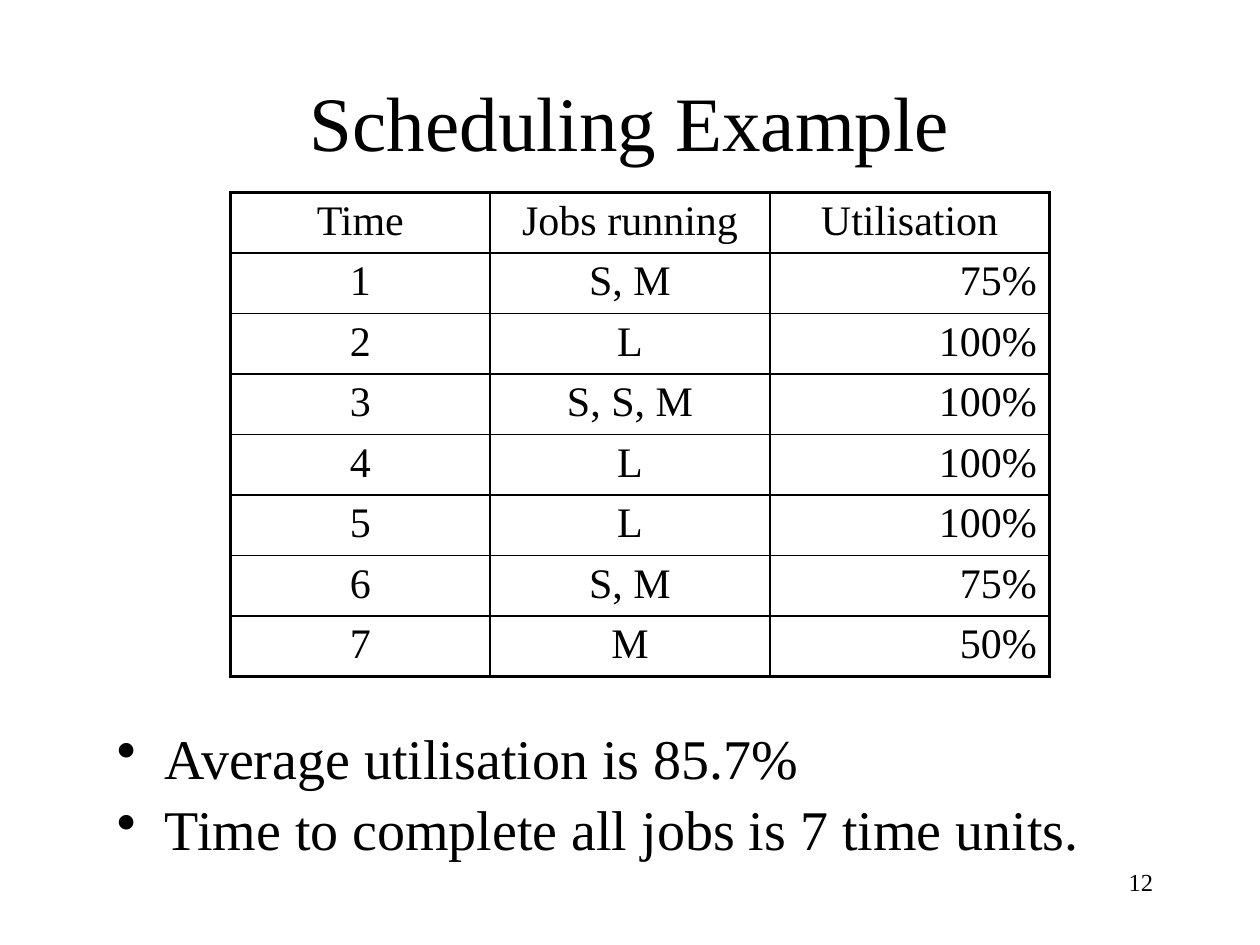
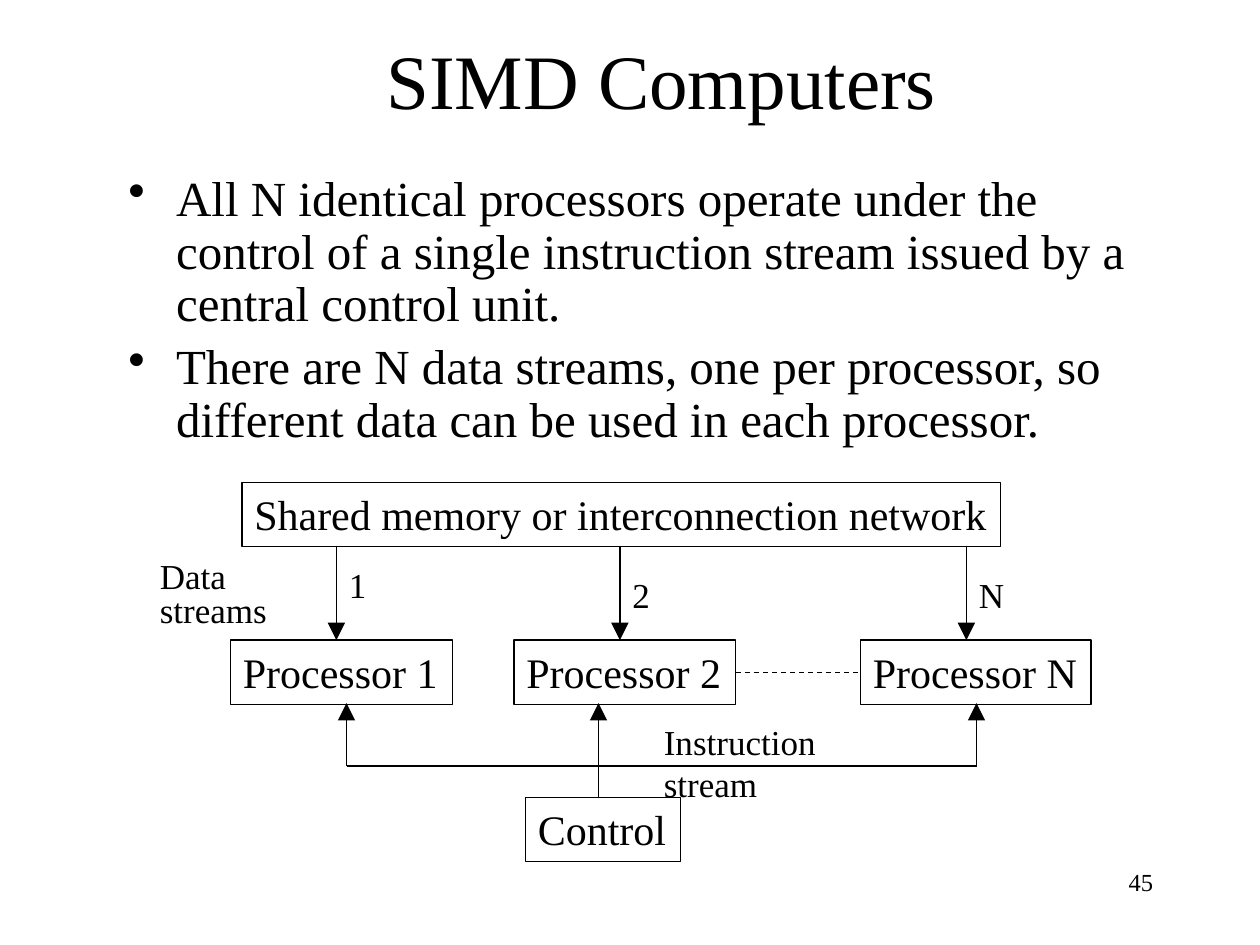
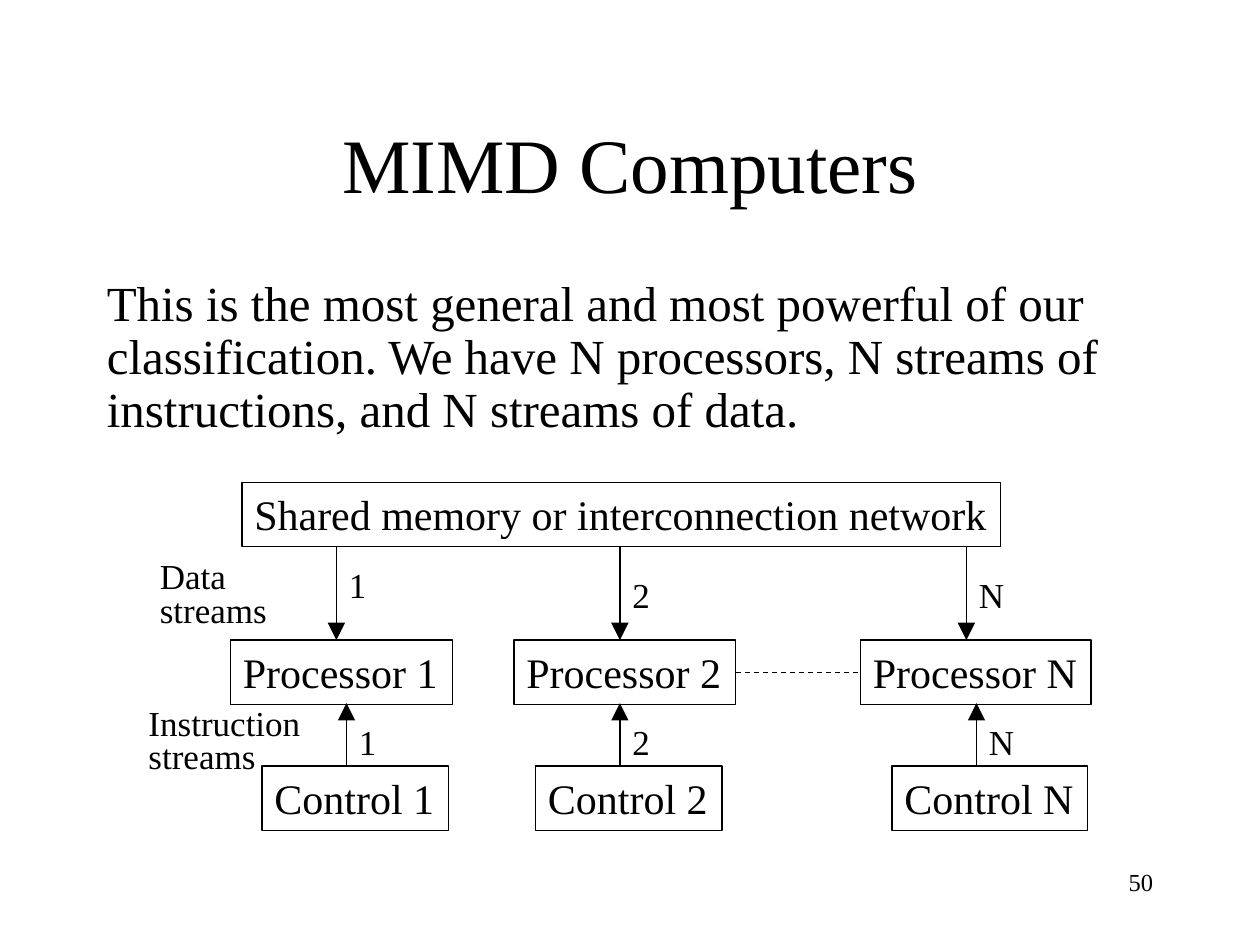
from lxml.etree import SubElement
from pptx import Presentation
from pptx.dml.color import RGBColor
from pptx.enum.dml import MSO_LINE
from pptx.enum.shapes import MSO_CONNECTOR, MSO_SHAPE
from pptx.enum.text import MSO_ANCHOR, PP_ALIGN
from pptx.oxml.ns import qn
from pptx.util import Inches, Pt

FONT = "Times New Roman"
COLORS = {"ink": "000000", "paper": "FFFFFF"}
INK = RGBColor.from_string(COLORS["ink"])

# Content
SCHEDULE = [
    ("Time", "Jobs running", "Utilisation"),
    ("1", "S, M", "75%"),
    ("2", "L", "100%"),
    ("3", "S, S, M", "100%"),
    ("4", "L", "100%"),
    ("5", "L", "100%"),
    ("6", "S, M", "75%"),
    ("7", "M", "50%"),
]
SCHEDULE_WIDTHS = (2.06, 2.22, 2.22)
SCHEDULE_ROW = 0.47

SCHEDULE_POINTS = [
    "Average utilisation is 85.7%",
    "Time to complete all jobs is 7 time units.",
]
SIMD_POINTS = [
    "All N identical processors operate under the control of a single "
    "instruction stream issued by a central control unit.",
    "There are N data streams, one per processor, so different data can be "
    "used in each processor.",
]
MIMD_TEXT = [
    "This is the most general and most powerful of our classification. "
    "We have N processors, N streams of instructions, and N streams of data.",
]

# Diagram columns: name, processor left and width, data arrow x, label top and width
PROCESSORS = [
    ("1", 1.83, 1.76, 2.67, 4.42, 0.34),
    ("2", 4.08, 1.76, 4.92, 4.5, 0.34),
    ("N", 6.83, 1.83, 7.67, 4.5, 0.4),
]
# Control units: name, left, width, arrow x, label width
CONTROLS = [
    ("1", 2.08, 1.48, 2.75, 0.34),
    ("2", 4.25, 1.48, 4.92, 0.34),
    ("N", 7.08, 1.55, 7.75, 0.4),
]
INSTRUCTION_ARROWS = (2.75, 4.75, 7.75)
BOX_HEIGHT = 0.51
MEMORY_TOP, MEMORY_BOTTOM = 3.83, 4.33
PROCESSOR_TOP, PROCESSOR_BOTTOM = 5.08, 5.58
BUS_Y = 6.08


def style(frame, size, align=PP_ALIGN.LEFT, spacing=None):
    for para in frame.paragraphs:
        para.alignment = align
        if spacing:
            para.line_spacing = spacing
        for span in para.runs:
            span.font.name = FONT
            span.font.size = Pt(size)
            span.font.bold = False
            span.font.color.rgb = INK


def add_text(page, text, left, top, width, height, size, wrap=False, **options):
    box = page.shapes.add_textbox(*map(Inches, (left, top, width, height)))
    box.text_frame.text = text
    box.text_frame.word_wrap = wrap
    style(box.text_frame, size, **options)
    return box


def add_page(deck, title, left, top, number):
    page = deck.slides.add_slide(deck.slide_layouts[5])
    page.background.fill.solid()
    page.background.fill.fore_color.rgb = RGBColor.from_string(COLORS["paper"])
    heading = page.shapes.title
    heading.left, heading.top = Inches(left), Inches(top)
    heading.width, heading.height = Inches(8.5), Inches(1.25)
    heading.text_frame.text = title
    heading.text_frame.vertical_anchor = MSO_ANCHOR.MIDDLE
    style(heading.text_frame, 44, PP_ALIGN.CENTER)
    add_text(page, number, 7.17, 6.83, 2.08, 0.5, 14, True, align=PP_ALIGN.RIGHT)
    return page


def add_body(page, lines, left, top, height, size, bullets=True):
    box = add_text(page, "\n".join(lines), left, top, 8.5, height, size, True, spacing=0.9)
    for index, para in enumerate(box.text_frame.paragraphs):
        if index:
            para.space_before = Pt(size * 0.2)
        if bullets:
            properties = para._p.get_or_add_pPr()
            properties.set("marL", str(Inches(0.38)))
            properties.set("indent", str(Inches(-0.38)))
            SubElement(properties, qn("a:buChar")).set("char", "•")


def add_box(page, text, left, top, width):
    box = page.shapes.add_shape(
        MSO_SHAPE.RECTANGLE, *map(Inches, (left, top, width, BOX_HEIGHT)))
    box.shadow.inherit = False
    box.fill.background()
    box.line.color.rgb = INK
    box.line.width = Pt(0.75)
    frame = box.text_frame
    frame.text = text
    frame.word_wrap = False
    frame.vertical_anchor = MSO_ANCHOR.TOP
    style(frame, 24)
    return box


def add_line(page, x1, y1, x2, y2, arrow=False):
    line = page.shapes.add_connector(
        MSO_CONNECTOR.STRAIGHT, *map(Inches, (x1, y1, x2, y2)))
    line.line.color.rgb = INK
    line.line.width = Pt(0.75)
    if arrow:
        tail = SubElement(line.line._get_or_add_ln(), qn("a:tailEnd"))
        for key, value in (("type", "triangle"), ("w", "lg"), ("len", "lg")):
            tail.set(key, value)
    SubElement(line._element.spPr, qn("a:effectLst"))
    return line


def add_processors(page):
    """Shared memory feeding the row of processors."""
    add_box(page, "Shared memory or interconnection network", 1.92, MEMORY_TOP, 6.02)
    boxes = []
    for name, left, width, arrow_x, label_top, label_width in PROCESSORS:
        boxes.append(add_box(page, f"Processor {name}", left, PROCESSOR_TOP, width))
        add_line(page, arrow_x, MEMORY_BOTTOM, arrow_x, PROCESSOR_TOP, arrow=True)
        add_text(page, name, arrow_x, label_top, label_width, 0.43, 20)
    gap = add_line(page, 5.84, 5.33, 6.83, 5.33)
    gap.line.dash_style = MSO_LINE.DASH
    gap.begin_connect(boxes[1], 3)
    gap.end_connect(boxes[2], 1)
    add_text(page, "Data\nstreams", 1.17, 4.42, 1.05, 0.64, 20, spacing=0.8)


def set_borders(cell, widths):
    properties = cell._tc.get_or_add_tcPr()
    for side, width in widths.items():
        border = SubElement(properties, qn(f"a:ln{side}"))
        border.set("w", str(Pt(width)))
        fill = SubElement(border, qn("a:solidFill"))
        SubElement(fill, qn("a:srgbClr")).set("val", COLORS["ink"])


def add_schedule(page):
    rows, columns = len(SCHEDULE), len(SCHEDULE_WIDTHS)
    table = page.shapes.add_table(
        rows, columns, Inches(1.83), Inches(1.53),
        Inches(sum(SCHEDULE_WIDTHS)), Inches(rows * SCHEDULE_ROW)).table
    table.first_row = table.horz_banding = False
    for column, width in zip(table.columns, SCHEDULE_WIDTHS):
        column.width = Inches(width)
    for r, values in enumerate(SCHEDULE):
        table.rows[r].height = Inches(SCHEDULE_ROW)
        for c, value in enumerate(values):
            cell = table.cell(r, c)
            cell.text = value
            cell.margin_top = cell.margin_bottom = Inches(0.04)
            outer = {"L": c == 0, "R": c == columns - 1, "T": r == 0, "B": r == rows - 1}
            set_borders(cell, {side: 2.25 if edge else 1 for side, edge in outer.items()})
            cell.fill.background()
            is_figure = r > 0 and c == columns - 1
            style(cell.text_frame, 24, PP_ALIGN.RIGHT if is_figure else PP_ALIGN.CENTER)


def main():
    deck = Presentation()
    deck.slide_width, deck.slide_height = Inches(10), Inches(7.5)

    # Scheduling table
    page = add_page(deck, "Scheduling Example", 0.75, 0.33, "12")
    add_schedule(page)
    add_body(page, SCHEDULE_POINTS, 0.83, 5.75, 1.17, 32)

    # One control unit for all processors
    page = add_page(deck, "SIMD Computers", 1, 0, "45")
    add_body(page, SIMD_POINTS, 0.92, 1.33, 2.33, 28)
    add_processors(page)
    add_box(page, "Control", 4.17, 6.33, 1.23)
    add_line(page, 4.75, 6.33, 4.75, BUS_Y)
    add_line(page, INSTRUCTION_ARROWS[0], BUS_Y, INSTRUCTION_ARROWS[-1], BUS_Y)
    for x in INSTRUCTION_ARROWS:
        add_line(page, x, BUS_Y, x, PROCESSOR_BOTTOM, arrow=True)
    add_text(page, "Instruction stream", 5.17, 5.67, 2.15, 0.43, 20, True)

    # One control unit per processor
    page = add_page(deck, "MIMD Computers", 0.75, 0.67, "50")
    add_body(page, MIMD_TEXT, 0.75, 2.17, 1.25, 28, bullets=False)
    add_processors(page)
    for name, left, width, arrow_x, label_width in CONTROLS:
        add_box(page, f"Control {name}", left, BUS_Y, width)
        add_line(page, arrow_x, BUS_Y, arrow_x, PROCESSOR_BOTTOM, arrow=True)
        add_text(page, name, arrow_x, 5.67, label_width, 0.43, 20)
    add_text(page, "Instruction streams", 1.08, 5.58, 1.58, 0.64, 20, True, spacing=0.8)

    deck.save("out.pptx")


if __name__ == "__main__":
    main()
